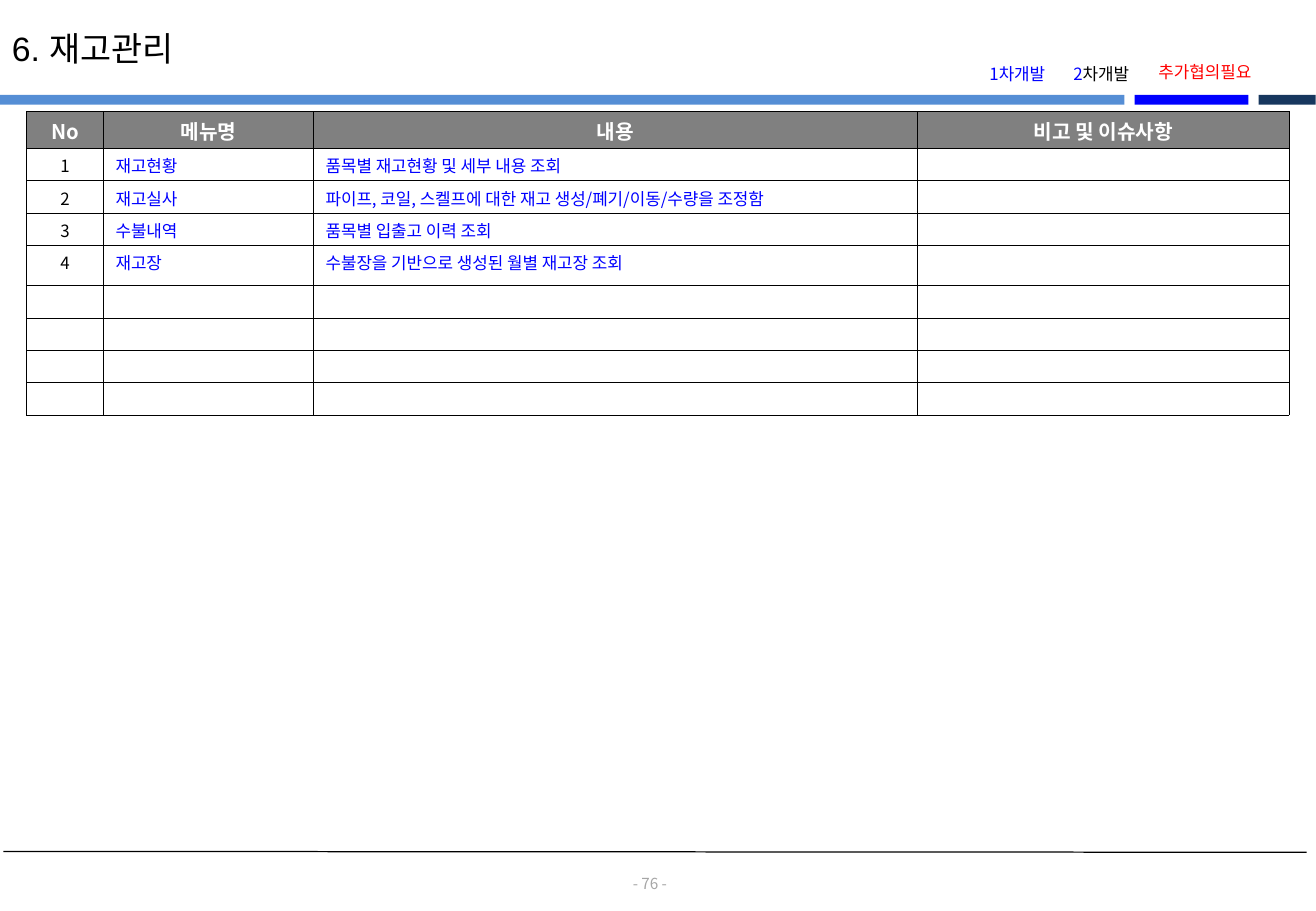
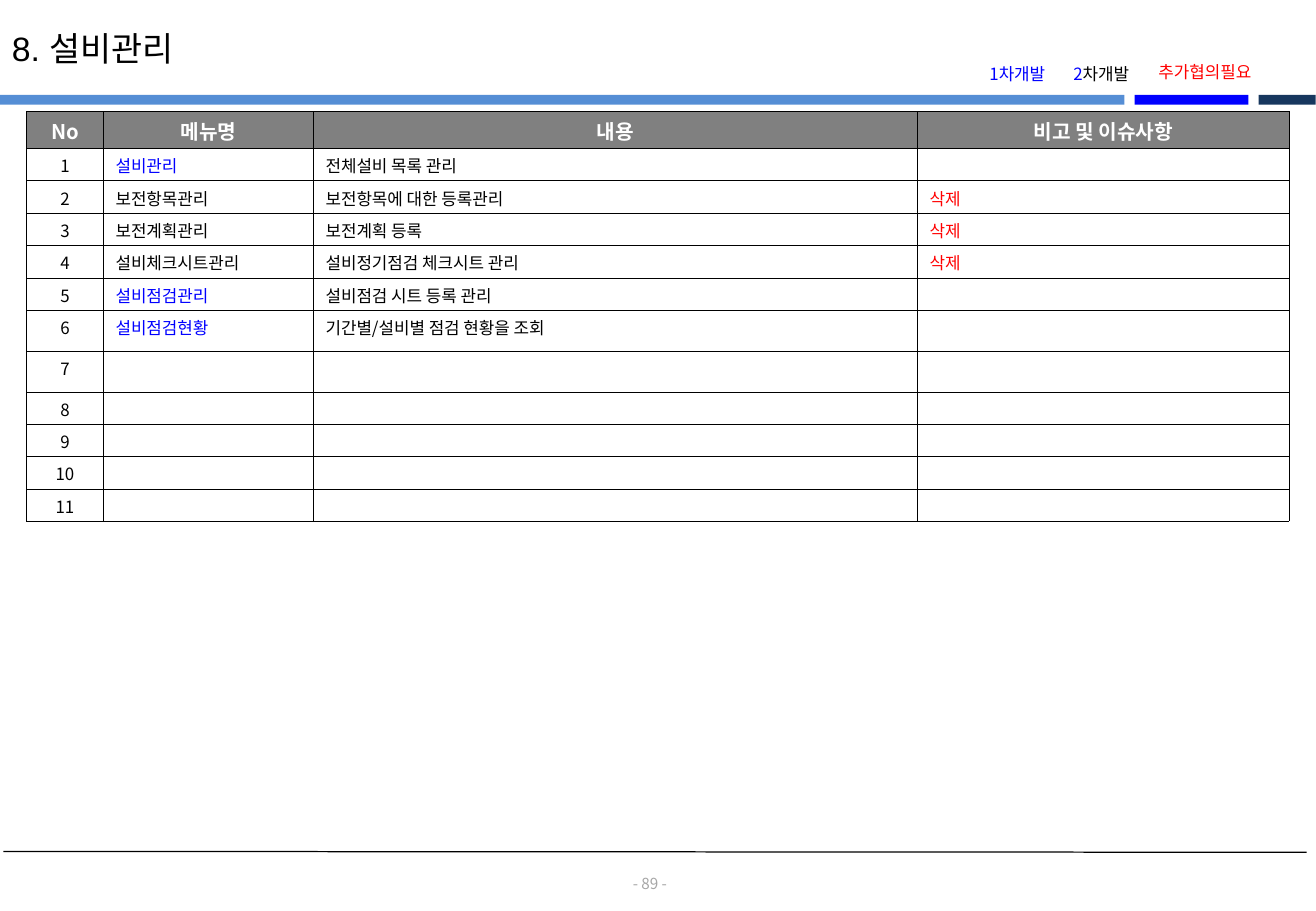
from pptx import Presentation
from pptx.dml.color import RGBColor
from pptx.enum import shapes, text
from pptx.oxml import xmlchemy
from pptx.oxml.ns import qn
from pptx.util import Pt
from lxml import etree

# Theme
THEME = {
    "colour": {"sky": "558ED5", "blue": "0000FF", "navy": "17375E", "black": "000000",
               "red": "FF0000", "grey": "808080", "pale": "A6A6A6", "white": "FFFFFF"},
    "size": {"title": 20, "header": 12, "body": 10, "footer": 9},
    "latin": "Arial",
    "korean": "Noto Sans CJK KR",
}
LEFT, CENTER = text.PP_ALIGN.LEFT, text.PP_ALIGN.CENTER
TOP, MIDDLE = text.MSO_ANCHOR.TOP, text.MSO_ANCHOR.MIDDLE

# Shared content: bands (left, width, colour), legend (left, top, width, runs)
BANDS = [(0, 666.5, "sky"), (672.5, 67.5, "blue"), (746, 33.8, "navy")]
BAND_TOP, BAND_HEIGHT = 56.2, 5.8
LEGEND = [
    (571.7, 37.4, 62.6, [("1차개발", "blue")]),
    (621.4, 37.4, 62.6, [("2", "blue"), ("차개발", "black")]),
    (676, 36, 76.3, [("추가협의필요", "red")]),
]
HEADERS = ["No", "메뉴명", "내용", "비고 및 이슈사항"]
COLUMN_WIDTHS = [45.6, 124.5, 358, 220.4]
TABLE_LEFT, TABLE_TOP = 15.7, 66
HEADER_HEIGHT, ROW_HEIGHT = 21.9, 19.2

# Slide content: rows of (menu, menu colour, content, content colour, remark)
SLIDES = [
    {"title": "6. 재고관리", "page": "- 76 -", "row_count": 8, "numbered": 4,
     "tall_rows": {4: 23.8},
     "rows": [
         ("재고현황", "blue", "품목별 재고현황 및 세부 내용 조회", "blue", ""),
         ("재고실사", "blue", "파이프, 코일, 스켈프에 대한 재고 생성/폐기/이동/수량을 조정함", "blue", ""),
         ("수불내역", "blue", "품목별 입출고 이력 조회", "blue", ""),
         ("재고장", "blue", "수불장을 기반으로 생성된 월별 재고장 조회", "blue", ""),
     ]},
    {"title": "8. 설비관리", "page": "- 89 -", "row_count": 11, "numbered": 11,
     "tall_rows": {6: 24.2, 7: 24.2},
     "rows": [
         ("설비관리", "blue", "전체설비 목록 관리", "black", ""),
         ("보전항목관리", "black", "보전항목에 대한 등록관리", "black", "삭제"),
         ("보전계획관리", "black", "보전계획 등록", "black", "삭제"),
         ("설비체크시트관리", "black", "설비정기점검 체크시트 관리", "black", "삭제"),
         ("설비점검관리", "blue", "설비점검 시트 등록 관리", "black", ""),
         ("설비점검현황", "blue", "기간별/설비별 점검 현황을 조회", "black", ""),
     ]},
]


def rgb(name):
    return RGBColor.from_string(THEME["colour"][name])


def apply(target, values):
    for name, value in values.items():
        setattr(target, name, value)


def write(paragraph, runs, size, align=LEFT, bold=False, latin=THEME["korean"]):
    """Fill a paragraph with (text, colour) runs."""
    paragraph.alignment = align
    for words, colour in runs:
        run = paragraph.add_run()
        run.text = words
        apply(run.font, {"size": Pt(THEME["size"][size]), "bold": bold, "name": latin})
        run.font.color.rgb = rgb(colour)
        east_asian = etree.SubElement(run.font._element, qn("a:ea"))
        east_asian.set("typeface", THEME["korean"])


def add_label(slide, box, runs, size, align=CENTER, anchor=MIDDLE, inset=(7.2, 3.6),
              wrap=True, **style):
    frame = slide.shapes.add_textbox(*map(Pt, box)).text_frame
    side, edge = map(Pt, inset)
    apply(frame, {"word_wrap": wrap, "vertical_anchor": anchor, "margin_left": side,
                  "margin_right": side, "margin_top": edge, "margin_bottom": edge})
    write(frame.paragraphs[0], runs, size, align, **style)


def add_frame(slide, title, page):
    """Bands, legend, title and footer of every slide."""
    for left, width, colour in BANDS:
        band = slide.shapes.add_shape(shapes.MSO_SHAPE.RECTANGLE, Pt(left), Pt(BAND_TOP),
                                      Pt(width), Pt(BAND_HEIGHT))
        band.shadow.inherit = False
        band.fill.solid()
        band.fill.fore_color.rgb = rgb(colour)
        band.line.fill.background()
    rule = slide.shapes.add_connector(shapes.MSO_CONNECTOR.STRAIGHT,
                                      Pt(2), Pt(504.7), Pt(774.5), Pt(505.2))
    rule.line.width = Pt(0.75)
    rule.line.color.rgb = rgb("black")
    etree.SubElement(rule._element.spPr, qn("a:effectLst"))
    add_label(slide, (363.6, 518.4, 43.2, 10.8), [(page, "pale")], "footer", inset=(0, 0))
    add_label(slide, (0, 13, 682.6, 31.7), [(title, "black")], "title", LEFT, TOP,
              latin=THEME["latin"])
    for left, top, width, runs in LEGEND:
        add_label(slide, (left, top, width, 13), runs, "body")


def format_cell(cell, words, colour, fill, size, align, bold):
    apply(cell, {"margin_left": Pt(7.2), "margin_right": Pt(7.2),
                 "margin_top": Pt(3), "margin_bottom": 0, "vertical_anchor": TOP})
    properties = cell._tc.get_or_add_tcPr()
    for side in ("lnL", "lnR", "lnT", "lnB"):
        border = etree.SubElement(properties, qn("a:" + side), w=str(Pt(0.25)))
        solid = etree.SubElement(border, qn("a:solidFill"))
        etree.SubElement(solid, qn("a:srgbClr"), val=THEME["colour"]["black"])
    cell.fill.solid()
    cell.fill.fore_color.rgb = rgb(fill)
    paragraph = cell.text_frame.paragraphs[0]
    if words:
        write(paragraph, [(words, colour)], size, align, bold)
    else:  # keeps empty rows from growing
        etree.SubElement(paragraph._p, qn("a:endParaRPr"), sz=str(THEME["size"][size] * 100))


def add_menu_table(slide, content):
    count = content["row_count"]
    heights = [HEADER_HEIGHT] + [content["tall_rows"].get(number, ROW_HEIGHT)
                                 for number in range(1, count + 1)]
    table = slide.shapes.add_table(count + 1, len(HEADERS), Pt(TABLE_LEFT), Pt(TABLE_TOP),
                                   Pt(sum(COLUMN_WIDTHS)), Pt(sum(heights))).table
    apply(table, {"first_row": False, "horz_banding": False})
    for column, width in zip(table.columns, COLUMN_WIDTHS):
        column.width = Pt(width)
    for row, height in zip(table.rows, heights):
        row.height = Pt(height)

    for cell, words in zip(table.rows[0].cells, HEADERS):
        format_cell(cell, words, "white", "grey", "header", CENTER, True)
    blank_rows = [("", "black", "", "black", "")] * (count - len(content["rows"]))
    for number, (menu, menu_colour, detail, detail_colour, remark) in enumerate(
            content["rows"] + blank_rows, 1):
        label = str(number) if number <= content["numbered"] else ""
        entries = [(label, "black", CENTER), (menu, menu_colour, LEFT),
                   (detail, detail_colour, LEFT), (remark, "red", LEFT)]
        for cell, (words, colour, align) in zip(table.rows[number].cells, entries):
            format_cell(cell, words, colour, "white", "body", align, False)


def main():
    presentation = Presentation()
    apply(presentation, {"slide_width": Pt(780), "slide_height": Pt(540)})
    for content in SLIDES:
        slide = presentation.slides.add_slide(presentation.slide_layouts[6])
        add_frame(slide, content["title"], content["page"])
        add_menu_table(slide, content)
    presentation.save("out.pptx")


if __name__ == "__main__":
    main()
